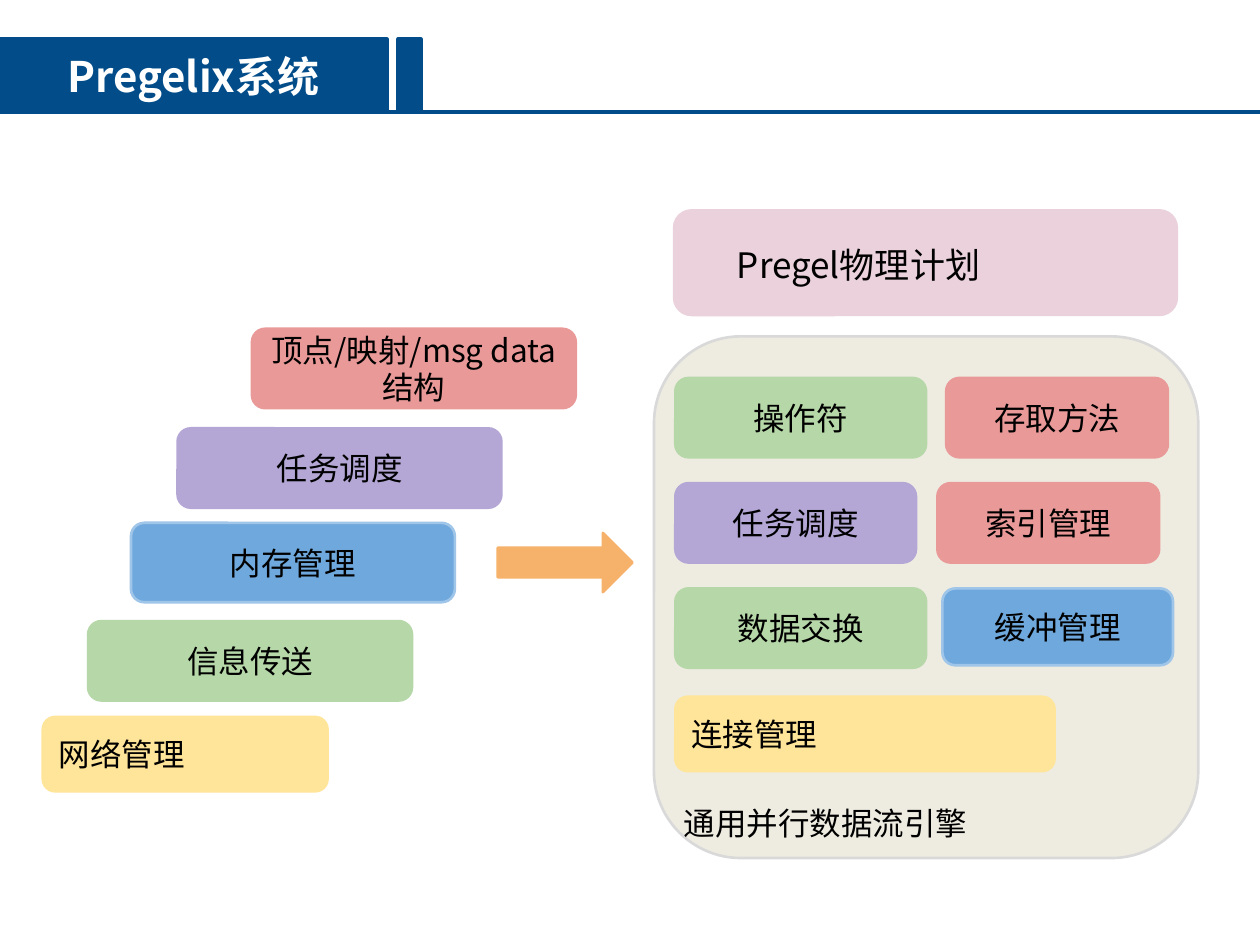
"""Build the Pregelix system slide: separate layers mapped onto a dataflow engine."""
from lxml import etree
from pptx import Presentation
from pptx.dml.color import RGBColor
from pptx.enum.shapes import MSO_CONNECTOR, MSO_SHAPE
from pptx.enum.text import MSO_ANCHOR, MSO_AUTO_SIZE, PP_ALIGN
from pptx.oxml.ns import qn
from pptx.util import Inches, Pt

ROUND, RECT, ARROW = MSO_SHAPE.ROUNDED_RECTANGLE, MSO_SHAPE.RECTANGLE, MSO_SHAPE.RIGHT_ARROW
LEFT, CENTER = PP_ALIGN.LEFT, PP_ALIGN.CENTER
TOP, MIDDLE = MSO_ANCHOR.TOP, MSO_ANCHOR.MIDDLE
FONT = "Noto Sans CJK SC"
NAVY, BLACK, WHITE = "024C89", "000000", "FFFFFF"
YELLOW, GREEN, PURPLE, RED = "FFE599", "B6D7A8", "B4A7D6", "EA9999"
BLUE, BLUE_EDGE = "6FA8DC", "9FC5E8"
PINK, CREAM, GREY, ORANGE = "EAD1DC", "EEECE1", "D9D9D9", "F6B26B"

TITLE = "Pregelix系统"
LAYER_W, BOX_H, LINK_H = 2.57, 0.63, 0.59
LAYERS = [
    ("信息传送", 0.7, 4.93, GREEN),
    ("内存管理", 1.04, 4.15, BLUE),
    ("任务调度", 1.41, 3.4, PURPLE),
    ("顶点/映射/msg data 结构", 2, 2.61, RED),
]
ENGINE_X, ENGINE_Y, ROW_STEP = 5.36, 3, 0.835
ENGINE_ROWS = [
    (("操作符", 1.99, GREEN), ("存取方法", 7.51, 1.76, BOX_H, RED)),
    (("任务调度", 1.91, PURPLE), ("索引管理", 7.44, 1.76, BOX_H, RED)),
    (("数据交换", 1.99, GREEN), ("缓冲管理", 7.48, 1.83, 0.61, BLUE)),
]
LINKS = [("网络管理", 0.34, 5.69, 2.26), ("连接管理", ENGINE_X, 5.53, 3.01)]
CAPTIONS = [
    ("Pregel物理计划", (5.75, 1.83, 3.2, 0.59), 20),
    ("通用并行数据流引擎", (5.33, 6.28, 4.11, 0.46), 18),
]


def rgb(color):
    return RGBColor.from_string(color)


def paint(shape, fill, edge=None, width=1.5):
    shape.fill.solid()
    shape.fill.fore_color.rgb = rgb(fill)
    shape.line.color.rgb = rgb(edge or fill)
    shape.line.width = Pt(width)


def write(shape, text, size=18, color=BLACK, align=CENTER, anchor=MIDDLE, inset=0.1, bold=False):
    tf = shape.text_frame
    tf.word_wrap = True
    tf.auto_size = MSO_AUTO_SIZE.NONE
    tf.vertical_anchor = anchor
    tf.margin_left = tf.margin_right = Inches(0.1)
    tf.margin_top = tf.margin_bottom = Inches(inset)
    p = tf.paragraphs[0]
    p.alignment = align
    r = p.add_run()
    r.text = text
    r.font.size, r.font.bold = Pt(size), bold
    r.font.color.rgb = rgb(color)
    r.font.name = FONT
    etree.SubElement(r.font._element, qn("a:ea")).set("typeface", FONT)


def add_shape(s, kind, box, fill, edge=None, width=1.5):
    shape = s.shapes.add_shape(kind, *map(Inches, box))
    shape.shadow.inherit = False
    paint(shape, fill, edge, width)
    return shape


def add_box(s, text, box, fill, align=CENTER):
    edge = BLUE_EDGE if fill == BLUE else fill
    write(add_shape(s, ROUND, box, fill, edge), text, align=align)


def add_header(s):
    title = s.shapes.title
    title.left, title.top, title.width, title.height = map(Inches, (0, 0.31, 3.07, 0.58))
    paint(title, NAVY, width=2)
    write(title, TITLE, 24, WHITE, inset=0.05, bold=True)
    add_shape(s, RECT, (3.16, 0.31, 0.18, 0.58), NAVY, width=2)
    rule = s.shapes.add_connector(MSO_CONNECTOR.STRAIGHT, *map(Inches, (0, 0.89, 10, 0.89)))
    rule.line.color.rgb = rgb(NAVY)
    rule.line.width = Pt(2)
    etree.SubElement(rule._element.spPr, qn("a:effectLst"))


def main():
    prs = Presentation()
    prs.slide_width, prs.slide_height = Inches(10), Inches(7.5)
    s = prs.slides.add_slide(prs.slide_layouts[5])
    add_header(s)
    add_shape(s, ROUND, (5.35, 1.67, 3.99, 0.83), PINK)
    add_shape(s, ROUND, (5.19, 2.67, 4.32, 4.14), CREAM, GREY)
    for text, x, y, w in LINKS:
        add_box(s, text, (x, y, w, LINK_H), YELLOW, LEFT)
    for text, x, y, fill in LAYERS:
        add_box(s, text, (x, y, LAYER_W, BOX_H), fill)
    add_shape(s, ARROW, (3.95, 4.23, 1.07, 0.47), ORANGE)
    for i, ((text, w, fill), (text2, x2, w2, h2, fill2)) in enumerate(ENGINE_ROWS):
        y = ENGINE_Y + i * ROW_STEP
        add_box(s, text, (ENGINE_X, y, w, BOX_H), fill)
        add_box(s, text2, (x2, y, w2, h2), fill2)
    for text, box, size in CAPTIONS:
        write(s.shapes.add_textbox(*map(Inches, box)), text, size, align=LEFT, anchor=TOP)
    prs.save("out.pptx")


if __name__ == "__main__":
    main()
